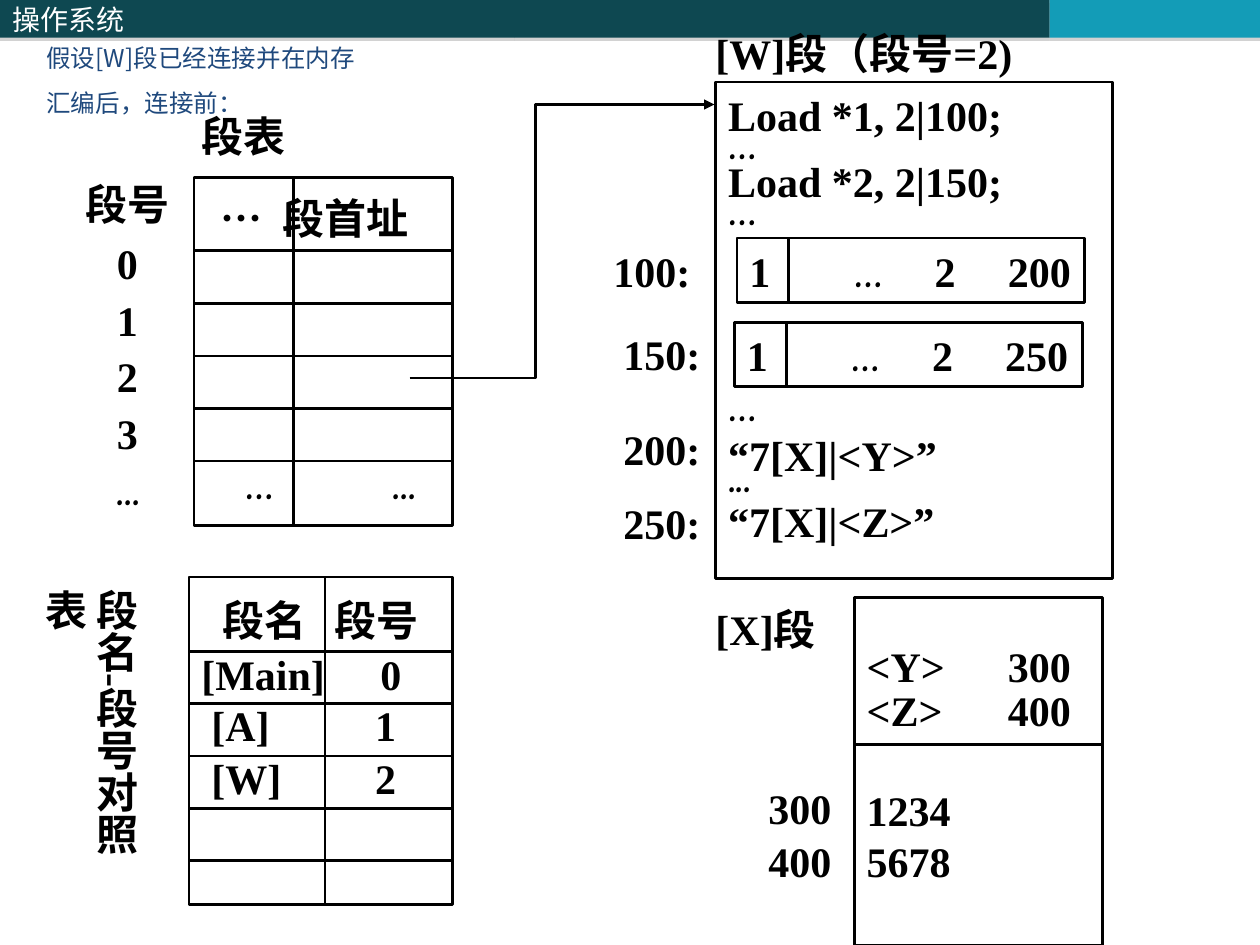
"""Build the slide on segment tables and dynamic linking of segments."""
from dataclasses import dataclass

import pptx
import pptx.dml.color
import pptx.enum.shapes
import pptx.enum.text
import pptx.oxml
import pptx.oxml.ns
import pptx.util
from lxml import etree

Inches = pptx.util.Inches
Pt = pptx.util.Pt
RGBColor = pptx.dml.color.RGBColor
MSO_ANCHOR = pptx.enum.text.MSO_ANCHOR
qn = pptx.oxml.ns.qn

BLACK = RGBColor(0x00, 0x00, 0x00)
WHITE = RGBColor(0xFF, 0xFF, 0xFF)
NAVY = RGBColor(0x1F, 0x49, 0x7D)
DARK_TEAL = RGBColor(0x0E, 0x48, 0x51)
CYAN = RGBColor(0x13, 0x9C, 0xB7)

SERIF = "Times New Roman"
COMIC = "Comic Neue"
SANS = "Noto Sans CJK SC"


@dataclass
class Para:
    runs: tuple
    spacing: float = 1.0
    before: float = 0
    tabs: tuple = ()


def serif(text, **kw):
    return Para(((text, SERIF),), **kw)


def comic(text, **kw):
    return Para(((text, COMIC),), **kw)


def write(sp, paras, size=24, color=BLACK, bold=True, anchor=MSO_ANCHOR.TOP, top=0.05):
    tf = sp.text_frame
    tf.word_wrap = True
    tf.vertical_anchor = anchor
    tf.margin_top = Inches(top)
    for i, para in enumerate(paras):
        p = tf.paragraphs[0] if i == 0 else tf.add_paragraph()
        p.alignment = pptx.enum.text.PP_ALIGN.LEFT
        p.line_spacing = para.spacing
        p.space_before = Pt(para.before)
        if para.tabs:
            tab_list = etree.SubElement(p._p.get_or_add_pPr(), qn("a:tabLst"))
            for tab in para.tabs:
                etree.SubElement(tab_list, qn("a:tab"), pos=str(Inches(tab)), algn="l")
        for text, font in para.runs:
            r = p.add_run()
            r.text = text
            r.font.name = font
            r.font.size = Pt(size)
            r.font.bold = bold
            r.font.color.rgb = color
            ea = etree.SubElement(r._r.get_or_add_rPr(), qn("a:ea"))
            ea.set("typeface", SANS)
    return tf


def add_text(s, x, y, w, h, paras, **style):
    sp = s.shapes.add_textbox(Inches(x), Inches(y), Inches(w), Inches(h))
    return write(sp, paras, **style)


def add_rect(s, x, y, w, h):
    sp = s.shapes.add_shape(pptx.enum.shapes.MSO_SHAPE.RECTANGLE,
                            Inches(x), Inches(y), Inches(w), Inches(h))
    sp.shadow.inherit = False
    return sp


def add_frame(s, x, y, w, h):
    sp = add_rect(s, x, y, w, h)
    sp.fill.background()
    sp.line.color.rgb = BLACK
    sp.line.width = Pt(1.5)
    return sp


def add_band(s, x, w, color):
    sp = add_rect(s, x, 0, w, 0.3)
    sp.fill.solid()
    sp.fill.fore_color.rgb = color
    sp.line.fill.background()
    effects = sp._element.spPr.find(qn("a:effectLst"))
    shadow = etree.SubElement(effects, qn("a:outerShdw"), dist=str(Pt(1.8)),
                              dir="5400000", rotWithShape="0")
    gray = etree.SubElement(shadow, qn("a:srgbClr"), val="808080")
    etree.SubElement(gray, qn("a:alpha"), val="35000")
    return sp


def add_line(s, x1, y1, x2, y2):
    line = s.shapes.add_connector(pptx.enum.shapes.MSO_CONNECTOR.STRAIGHT,
                                  Inches(x1), Inches(y1), Inches(x2), Inches(y2))
    line.line.color.rgb = BLACK
    line.line.width = Pt(1.5)
    etree.SubElement(line._element.spPr, qn("a:effectLst"))


def add_grid(s, x, y, w, h, first, last, divider):
    add_frame(s, x, y, w, h)
    step = (last - first) / 4
    for i in range(5):
        row = first + i * step
        add_line(s, x, row, x + w, row)
    add_line(s, divider, y, divider, y + h)


def add_indirect_word(s, x, y, offset):
    sp = add_frame(s, x, y, 2.76, 0.51)
    runs = (("1\t", SERIF), ("…", COMIC), (f"\t2\t{offset}", SERIF))
    tf = write(sp, [Para(runs, tabs=(0.83, 1.47, 2.05))], anchor=MSO_ANCHOR.MIDDLE)
    tf.margin_right = 0
    add_line(s, x + 0.41, y, x + 0.41, y + 0.51)


def add_elbow_arrow(s, points):
    start, *rest = [(Inches(x), Inches(y)) for x, y in points]
    builder = s.shapes.build_freeform(*start)
    builder.add_line_segments(rest, close=False)
    sp = builder.convert_to_shape()
    sp.shadow.inherit = False
    sp.fill.background()
    sp.line.color.rgb = BLACK
    sp.line.width = Pt(1.5)
    etree.SubElement(sp.line._get_or_add_ln(), qn("a:tailEnd"), type="triangle")


def add_header(s):
    title = add_band(s, 0, 4.08, DARK_TEAL)
    write(title, [Para((("操作系统", SANS),))], size=16, color=WHITE, bold=False,
          anchor=MSO_ANCHOR.MIDDLE)
    add_band(s, 4.08, 4.25, DARK_TEAL)
    add_band(s, 8.33, 1.67, CYAN)
    add_text(s, 0.27, 0.29, 5.42, 1.05,
             [Para((("假设[W]段已经连接并在内存", SANS),)),
              Para((("汇编后，连接前：", SANS),), before=8.8)],
             size=14, color=NAVY, bold=False)


def add_w_segment(s):
    add_text(s, 5.58, 0.17, 2.92, 0.5, [serif("[W]段（段号=2)")])
    code = [serif("Load *1, 2|100;", spacing=0.8), comic("…", spacing=0.5),
            serif("Load *2, 2|150;", spacing=0.8), comic("…", spacing=0.5),
            comic("…", before=85), serif("“7[X]|<Y>”"),
            comic("...", spacing=0.3), serif("“7[X]|<Z>”")]
    write(add_frame(s, 5.68, 0.65, 3.15, 3.94), code, top=0.14)
    add_indirect_word(s, 5.85, 1.89, 200)
    add_indirect_word(s, 5.83, 2.56, 250)
    for label, x, y in (("100:", 4.77, 1.9), ("150:", 4.85, 2.56),
                        ("200:", 4.85, 3.31), ("250:", 4.85, 3.9)):
        add_text(s, x, y, 0.83, 0.5, [serif(label)])


def add_x_segment(s):
    add_text(s, 5.58, 4.74, 2.92, 0.5, [serif("[X]段")])
    symbols = [serif("<Y>\t300", tabs=(1.12,)),
               serif("<Z>\t400", spacing=0.9, tabs=(1.12,)),
               serif("1234", before=28), serif("5678")]
    write(add_frame(s, 6.78, 4.74, 1.97, 2.76), symbols, top=0.34)
    add_line(s, 6.78, 5.91, 8.75, 5.91)
    for label, y in (("300", 6.16), ("400", 6.58)):
        add_text(s, 6, y, 0.75, 0.5, [serif(label)])


def add_segment_table(s):
    add_text(s, 1.5, 0.83, 1.33, 0.5, [serif("段表")])
    add_grid(s, 1.54, 1.41, 2.05, 2.76, 1.99, 3.66, 2.33)
    add_text(s, 1.5, 1.48, 2.08, 0.5, [comic("\t…\t段首址", tabs=(0.15, 0.64))])
    add_text(s, 1.5, 3.58, 2.08, 0.5, [comic("\t…\t...", tabs=(0.35, 1.52))])
    row = {"spacing": 0.6, "before": 15, "tabs": (0.25,)}
    numbers = [serif(f"\t{n}", **row) for n in range(4)]
    add_text(s, 0.58, 1.41, 1, 2.7,
             [serif("段号", spacing=0.9), *numbers, comic("\t...", **row)])


def add_name_table(s):
    add_grid(s, 1.5, 4.58, 2.09, 2.6, 5.17, 6.83, 2.58)
    add_text(s, 1.67, 4.67, 1.83, 0.5, [serif("段名\t段号", tabs=(0.89,))])
    add_text(s, 1.5, 5, 1.83, 0.64, [serif("[Main]\t0", tabs=(1.42,))], top=0.15)
    for name, y in (("[A]\t1", 5.5), ("[W]\t2", 5.92)):
        add_text(s, 1.58, y, 1.83, 0.5, [serif(name, tabs=(1.3,))])
    tf = add_text(s, 0.17, 4.58, 1, 2.58, [serif("段名-段号对照表")], top=0.1)
    tf.margin_left = tf.margin_right = Inches(0.05)
    tf.margin_bottom = Inches(0.1)
    tf._txBody.bodyPr.set("vert", "eaVert")


def main():
    prs = pptx.Presentation()
    prs.slide_width, prs.slide_height = Inches(10), Inches(7.5)
    s = prs.slides.add_slide(prs.slide_layouts[6])
    add_header(s)
    add_w_segment(s)
    add_x_segment(s)
    add_segment_table(s)
    add_name_table(s)
    add_elbow_arrow(s, [(3.25, 3), (4.25, 3), (4.25, 0.83), (5.67, 0.83)])
    prs.save("out.pptx")


if __name__ == "__main__":
    main()
